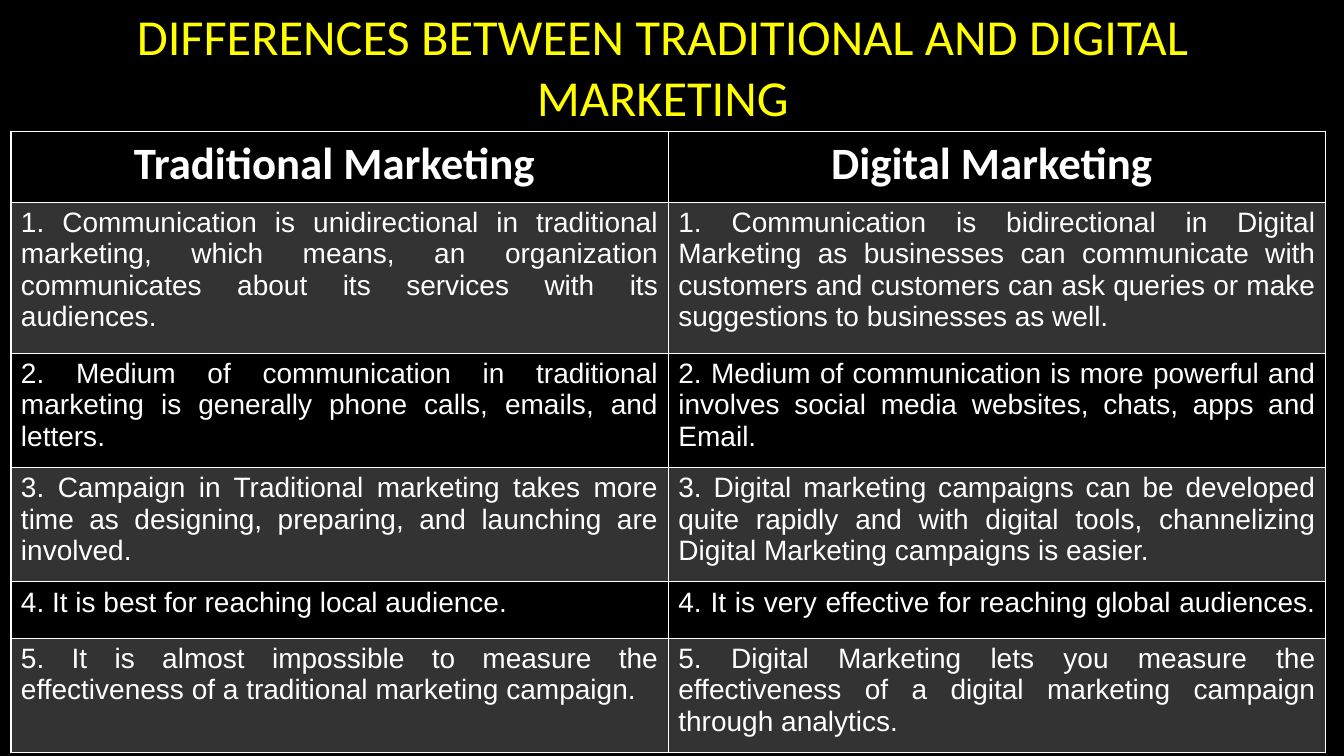
from lxml import etree
from pptx import Presentation
from pptx import util as u
from pptx.dml.color import RGBColor
from pptx.enum import text
from pptx.oxml import ns

COLOURS = {"ground": "000000", "title": "FFFF00", "ink": "FFFFFF"}
HEADINGS = ("Traditional Marketing ", "Digital Marketing ")
DIFFERENCES = [
    ("1. Communication is unidirectional in traditional marketing, which means, an "
     "organization communicates about its services with its audiences. ",
     "1. Communication is bidirectional in Digital Marketing as businesses can communicate "
     "with customers and customers can ask queries or make suggestions to businesses as well. "),
    ("2. Medium of communication in traditional marketing is generally phone calls, emails, "
     "and letters. ",
     "2. Medium of communication is more powerful and involves social media websites, chats, "
     "apps and Email."),
    ("3. Campaign in Traditional marketing takes more time as designing, preparing, and "
     "launching are involved. ",
     "3. Digital marketing campaigns can be developed quite rapidly and with digital tools, "
     "channelizing Digital Marketing campaigns is easier. "),
    ("4. It is best for reaching local audience. ",
     "4. It is very effective for reaching global audiences. "),
    ("5. It is almost impossible to measure the effectiveness of a traditional marketing "
     "campaign. ",
     "5. Digital Marketing lets you measure the effectiveness of a digital marketing campaign "
     "through analytics."),
]
ROW_HEIGHTS = [50.4, 108, 81.6, 81.6, 40.3, 81.6]


def colour(name):
    return RGBColor.from_string(COLOURS[name])


def write(frame, words, size, font="Arial", ink="ink", bold=False,
          align=text.PP_ALIGN.JUSTIFY):
    para = frame.paragraphs[0]
    para.alignment = align
    span = para.add_run()
    span.text = words
    span.font.size = u.Pt(size)
    span.font.name = font
    span.font.bold = bold
    span.font.color.rgb = colour(ink)


def add_element(parent, tag, **attributes):
    return etree.SubElement(parent, ns.qn(tag), attributes)


class ComparisonSlide:
    """Holds the current slide and draws its elements in one style."""

    def __init__(self, deck):
        self.slide = deck.slides.add_slide(deck.slide_layouts[5])
        ground = self.slide.background.fill
        ground.solid()
        ground.fore_color.rgb = colour("ground")

    def title(self, words, left, top, width, height):
        box = self.slide.shapes.title
        box.left, box.top = u.Pt(left), u.Pt(top)
        box.width, box.height = u.Pt(width), u.Pt(height)
        box.text_frame.vertical_anchor = text.MSO_ANCHOR.MIDDLE
        box.text_frame.word_wrap = True
        write(box.text_frame, words, 36, font="Calibri", ink="title",
              align=text.PP_ALIGN.CENTER)

    def style_cell(self, cell, shaded):
        properties = cell._tc.get_or_add_tcPr()
        for side in "LRTB":
            line = add_element(properties, f"a:ln{side}", w=str(u.Pt(1)))
            solid = add_element(line, "a:solidFill")
            add_element(solid, "a:srgbClr", val=COLOURS["ink"])
        if not shaded:
            cell.fill.background()
            return
        cell.fill.solid()
        cell.fill.fore_color.rgb = colour("ink")
        tint = properties.find(ns.qn("a:solidFill")).find(ns.qn("a:srgbClr"))
        add_element(tint, "a:alpha", val="20000")

    def table(self, rows, heights, left, top, width):
        frame = self.slide.shapes.add_table(
            len(rows), len(rows[0]), u.Pt(left), u.Pt(top), u.Pt(width), u.Pt(sum(heights)))
        table = frame.table
        table.first_row = table.horz_banding = False
        for index, (row, height) in enumerate(zip(rows, heights)):
            table.rows[index].height = u.Pt(height)
            for column, words in enumerate(row):
                cell = table.cell(index, column)
                self.style_cell(cell, shaded=index % 2 == 1)
                if index == 0:
                    write(cell.text_frame, words, 32, font="Calibri", bold=True,
                          align=text.PP_ALIGN.CENTER)
                else:
                    write(cell.text_frame, words, 20)


def main():
    deck = Presentation()
    deck.slide_width, deck.slide_height = u.Pt(960), u.Pt(540)
    page = ComparisonSlide(deck)

    # Title
    page.title("DIFFERENCES BETWEEN TRADITIONAL AND DIGITAL MARKETING", 0, 0, 947, 94)

    # Comparison table
    page.table([HEADINGS] + DIFFERENCES, ROW_HEIGHTS, 7.8, 94, 939.2)

    deck.save("out.pptx")


if __name__ == "__main__":
    main()
